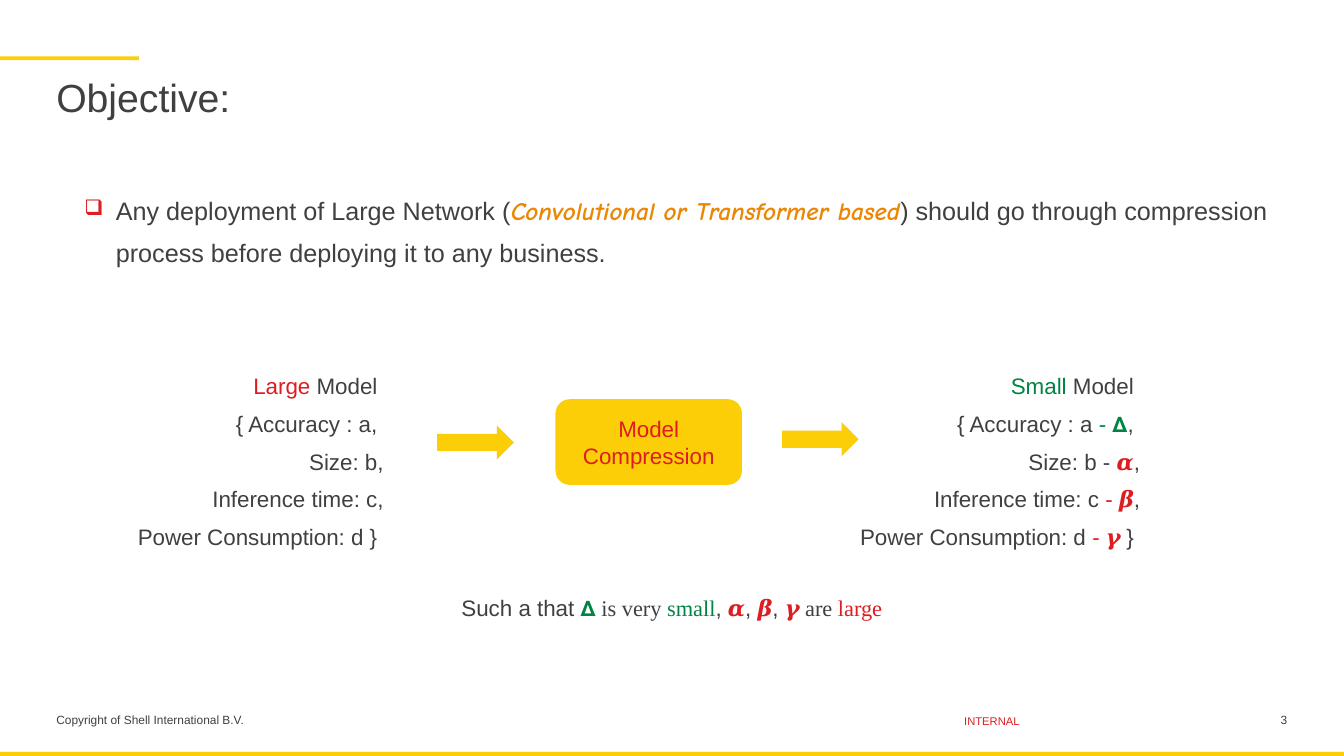
from lxml import etree
from pptx import Presentation
from pptx.dml.color import RGBColor
from pptx.enum.shapes import MSO_SHAPE as Shape
from pptx.enum.text import MSO_ANCHOR as Anchor, PP_ALIGN as Align
from pptx.oxml.ns import qn
from pptx.util import Cm, Pt

YELLOW = RGBColor(0xFB, 0xCE, 0x07)
RED = RGBColor(0xDD, 0x1D, 0x21)
GREEN = RGBColor(0x00, 0x84, 0x43)
ORANGE = RGBColor(0xEB, 0x87, 0x05)
GREY = RGBColor(0x40, 0x40, 0x40)
SERIF = "Times New Roman"

deck = Presentation()
deck.slide_width, deck.slide_height = Cm(33.87), Cm(19.05)
slide = deck.slides.add_slide(deck.slide_layouts[6])


def add_block(kind, left, top, width, height):
    block = slide.shapes.add_shape(kind, Cm(left), Cm(top), Cm(width), Cm(height))
    block.shadow.inherit = False
    block.fill.solid()
    block.fill.fore_color.rgb = YELLOW
    block.line.fill.background()
    return block


def add_text(left, top, width, height, size, paragraphs, align=Align.LEFT, spacing=1.0, wrap=True):
    frame = slide.shapes.add_textbox(Cm(left), Cm(top), Cm(width), Cm(height)).text_frame
    frame.word_wrap = wrap
    frame.margin_left = frame.margin_right = frame.margin_top = frame.margin_bottom = 0
    for number, pieces in enumerate(paragraphs):
        paragraph = frame.add_paragraph() if number else frame.paragraphs[0]
        paragraph.alignment = align
        paragraph.line_spacing = spacing
        paragraph.font.name = "Arial"
        paragraph.font.size = Pt(size)
        paragraph.font.color.rgb = GREY
        for text, colour, face in pieces:
            for index, line in enumerate(text.split("\n")):
                if index:
                    paragraph.add_line_break()
                if not line:
                    continue
                run = paragraph.add_run()
                run.text = line
                if colour != GREY:
                    run.font.color.rgb = colour
                if face != "Arial":
                    run.font.name = face
    return frame


add_block(Shape.RECTANGLE, 0, 1.42, 3.5, 0.1)
add_block(Shape.RECTANGLE, 0, 18.95, 33.87, 0.1)

add_text(1.42, 17.96, 9.32, 0.66, 8.5, [[("Copyright of Shell International B.V.", GREY, "Arial")]])
add_text(23.5, 18.01, 3, 0.48, 8, [[("INTERNAL", RED, "Arial")]], Align.CENTER)
add_text(31.45, 17.96, 0.99, 0.66, 8.5, [[("3", GREY, "Arial")]], Align.RIGHT)
add_text(1.42, 1.98, 31.04, 1.73, 28, [[("Objective:", GREY, "Arial")]], spacing=0.9)

objective = add_text(2.13, 4.62, 30.33, 13, 18, [[
    ("Any deployment of Large Network (", GREY, "Arial"),
    ("Convolutional or Transformer based", ORANGE, "Comic Neue"),
    (") should go through compression process before deploying it to any business.", GREY, "Arial"),
]], spacing=1.4).paragraphs[0]
objective.runs[1].font.bold = objective.runs[1].font.italic = True
bullet = objective._p.get_or_add_pPr()
bullet.set("marL", str(Cm(0.79)))
bullet.set("indent", str(-Cm(0.79)))
defaults = bullet.find(qn("a:defRPr"))
bullet_colour = etree.Element(qn("a:buClr"))
etree.SubElement(bullet_colour, qn("a:srgbClr"), val=str(RED))
for element in (
    bullet_colour,
    etree.Element(qn("a:buSzPct"), val="85000"),
    etree.Element(qn("a:buChar"), char="❑"),
):
    defaults.addprevious(element)

compression = add_block(Shape.ROUNDED_RECTANGLE, 14, 10.06, 4.7, 2.16).text_frame
compression.word_wrap = True
compression.vertical_anchor = Anchor.MIDDLE
step = compression.paragraphs[0]
step.text = "Model Compression"
step.alignment = Align.CENTER
step.font.name = "Arial"
step.font.size = Pt(16)
step.font.color.rgb = RED

large_model = [
    [
        ("Large", RED, "Arial"),
        (" Model \n{ Accuracy : a, \nSize: b,\nInference time: c,", GREY, "Arial"),
    ],
    [("Power Consumption: d } ", GREY, "Arial")],
]
small_model = [
    [
        ("Small", GREEN, "Arial"),
        (" Model \n{ Accuracy : a ", GREY, "Arial"),
        ("- ", GREEN, "Arial"),
        ("𝝙", GREEN, SERIF),
        (", \nSize: b - ", GREY, "Arial"),
        ("𝜶", RED, SERIF),
        (",\nInference time: c ", GREY, "Arial"),
        ("- ", RED, "Arial"),
        ("𝜷", RED, SERIF),
        (",", GREY, "Arial"),
    ],
    [
        ("Power Consumption: d ", GREY, "Arial"),
        ("- ", RED, "Arial"),
        ("𝜸 ", RED, SERIF),
        ("} ", GREY, "Arial"),
    ],
]
for left, width, model in ((3.35, 6.32, large_model), (21.64, 7.09, small_model)):
    add_text(left, 9.12, width, 4.67, 16, model, Align.RIGHT, 1.4, wrap=False)

add_text(11.63, 14.71, 11.28, 0.86, 16, [[
    ("Such a that ", GREY, "Arial"),
    ("𝝙 ", GREEN, SERIF),
    ("is very ", GREY, SERIF),
    ("small", GREEN, SERIF),
    (", ", GREY, "Arial"),
    ("𝜶", RED, SERIF),
    (", ", GREY, "Arial"),
    ("𝜷", RED, SERIF),
    (", ", GREY, "Arial"),
    ("𝜸 ", RED, SERIF),
    ("are", GREY, SERIF),
    (" large", RED, SERIF),
]], spacing=1.4)

for left, top in ((11.02, 10.72), (19.71, 10.64)):
    add_block(Shape.RIGHT_ARROW, left, top, 1.93, 0.86)

deck.save("out.pptx")
